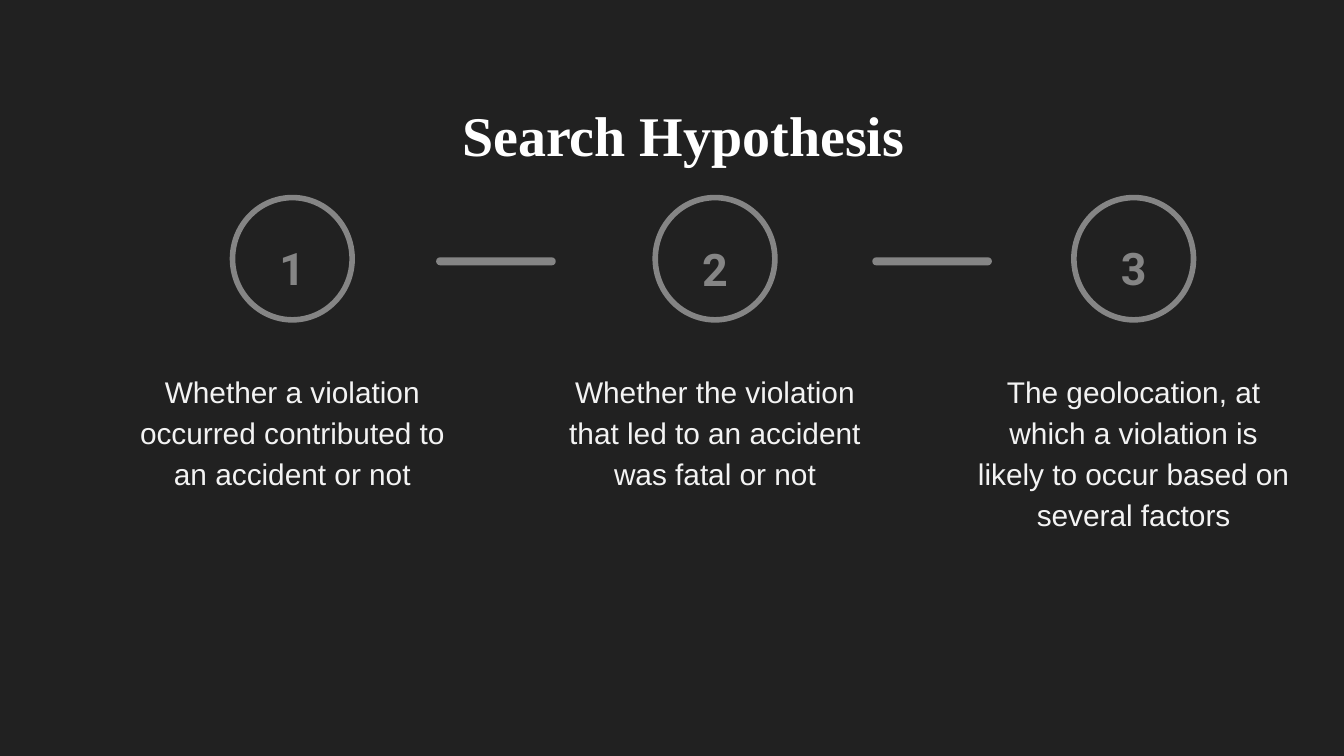
from dataclasses import dataclass

from pptx import Presentation
from pptx import util as u
from pptx.dml.color import RGBColor
from pptx.enum import shapes, text

PX = 4572  # EMU in one px, 200 px to the inch
INSET = 20
COLORS = {"back": "212121", "title": "FFFFFF", "body": "F3F3F3", "gray": "858585"}


@dataclass
class Font:
    name: str
    size: int
    color: str
    bold: bool = False


@dataclass
class Box:
    left: int
    top: int
    width: int
    height: int

    def emu(self) -> list[int]:
        return [n * PX for n in (self.left, self.top, self.width, self.height)]


@dataclass
class Step:
    mid: int
    width: int
    body: str
    after: int = 0
    top: int = 326


TITLE = Font("Times New Roman", 30, "title", True)
NUMBER = Font("Roboto", 24, "gray", True)
BODY = Font("Arial", 16, "body")

STEPS = [
    Step(435, 524, "Whether a violation occurred contributed to an accident or not",
         after=16),
    Step(1064, 510, "Whether the violation that led to an accident was fatal or not",
         top=328),
    Step(1687, 510, "The geolocation, at which a violation is likely to occur "
                    "based on several factors"),
]
BARS = [Box(left, 383, 178, 12) for left in (649, 1298)]


def rgb(key: str) -> RGBColor:
    return RGBColor.from_string(COLORS[key])


def center(mid: int, top: int, width: int, height: int) -> Box:
    """Give a box whose middle lies at mid."""
    return Box(mid - width // 2, top, width, height)


def add_text(slide, box: Box, words: str, font: Font, after: int = 0,
             anchor=text.MSO_ANCHOR.TOP) -> None:
    frame = slide.shapes.add_textbox(*box.emu()).text_frame
    frame.word_wrap = True
    frame.vertical_anchor = anchor
    frame.margin_left = frame.margin_right = INSET * PX
    frame.margin_top = frame.margin_bottom = INSET * PX
    para = frame.paragraphs[0]
    para.text = words
    para.alignment = text.PP_ALIGN.CENTER
    para.line_spacing = 1.15
    para.space_after = u.Pt(after)
    face = para.runs[0].font
    face.name, face.size, face.bold = font.name, u.Pt(font.size), font.bold
    face.color.rgb = rgb(font.color)


def add_bar(slide, box: Box) -> None:
    bar = slide.shapes.add_shape(shapes.MSO_SHAPE.ROUNDED_RECTANGLE, *box.emu())
    bar.adjustments[0] = 0.5
    bar.shadow.inherit = False
    bar.fill.solid()
    bar.fill.fore_color.rgb = rgb("gray")
    bar.line.fill.background()


def add_ring(slide, box: Box) -> None:
    ring = slide.shapes.add_shape(shapes.MSO_SHAPE.OVAL, *box.emu())
    ring.shadow.inherit = False
    ring.fill.background()
    ring.line.color.rgb = rgb("gray")
    ring.line.width = u.Pt(3)


def add_step(slide, step: Step, number: int) -> None:
    add_ring(slide, center(step.mid, 294, 178, 182))
    add_text(slide, center(step.mid, step.top, 130, 98), str(number), NUMBER, 16)
    add_text(slide, center(step.mid, 528, step.width, 224), step.body, BODY,
             step.after)


def main() -> None:
    deck = Presentation()
    deck.slide_width, deck.slide_height = 2000 * PX, 1125 * PX
    slide = deck.slides.add_slide(deck.slide_layouts[6])
    slide.background.fill.solid()
    slide.background.fill.fore_color.rgb = rgb("back")
    add_text(slide, Box(290, 96, 1454, 174), "Search Hypothesis", TITLE, 3,
             text.MSO_ANCHOR.BOTTOM)
    for bar in BARS:
        add_bar(slide, bar)
    for number, step in enumerate(STEPS, 1):
        add_step(slide, step, number)
    deck.save("out.pptx")


if __name__ == "__main__":
    main()
